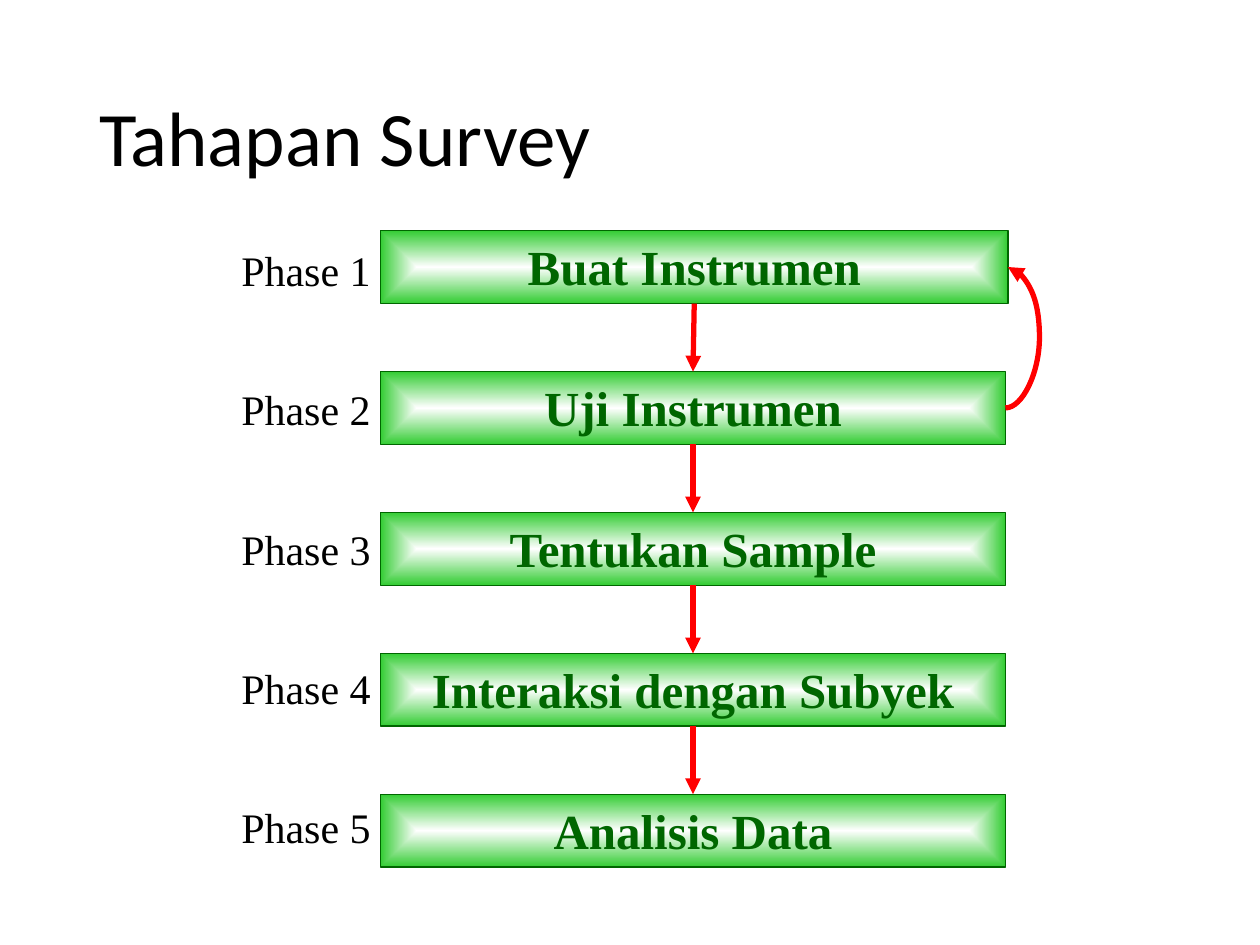
from itertools import pairwise

from lxml import etree
from pptx import Presentation
from pptx.dml.color import RGBColor
from pptx.enum.shapes import MSO_CONNECTOR as Connector, MSO_SHAPE as Shape
from pptx.enum.text import MSO_ANCHOR as Anchor, PP_ALIGN as Align
from pptx.oxml import parse_xml
from pptx.oxml.ns import nsdecls, qn
from pptx.util import Cm, Pt

COLORS = {"text": "000000", "dark": "006600", "green": "33CC33",
          "center": "FFFFFF", "arrow": "FF0000"}
PHASES = ["Buat Instrumen", "Uji Instrumen", "Tentukan Sample",
          "Interaksi dengan Subyek", "Analisis Data"]
TOP, BOTTOM, SIDE = 0, 2, 3


class FlowSlide:
    serif = "Times New Roman"
    sans = "Calibri"

    def __init__(self, presentation):
        self.slide = presentation.slides.add_slide(presentation.slide_layouts[6])

    def color(self, name):
        return RGBColor.from_string(COLORS[name])

    def set_text(self, shape, text, font, size, color, bold=False,
                 align=Align.CENTER, anchor=Anchor.TOP):
        frame = shape.text_frame
        frame.word_wrap = True
        frame.vertical_anchor = anchor
        paragraph = frame.paragraphs[0]
        paragraph.text = text
        paragraph.alignment = align
        paragraph.font.name = font
        paragraph.font.size = Pt(size)
        paragraph.font.bold = bold
        paragraph.font.color.rgb = self.color(color)
        return paragraph

    def title(self, text, left, top, width, height):
        shape = self.slide.shapes.add_textbox(Cm(left), Cm(top), Cm(width), Cm(height))
        paragraph = self.set_text(shape, text, self.sans, 44, "text",
                                  align=Align.LEFT, anchor=Anchor.MIDDLE)
        paragraph.line_spacing = 0.9

    def label(self, text, left, top, width, height):
        shape = self.slide.shapes.add_textbox(Cm(left), Cm(top), Cm(width), Cm(height))
        self.set_text(shape, text, self.serif, 24, "text")

    def box(self, text, left, top, width, height):
        shape = self.slide.shapes.add_shape(
            Shape.RECTANGLE, Cm(left), Cm(top), Cm(width), Cm(height))
        shape.shadow.inherit = False
        shape.line.color.rgb = self.color("dark")
        shape.line.width = Pt(0.75)
        gradient = parse_xml(
            f'<a:gradFill {nsdecls("a")} rotWithShape="1"><a:gsLst>'
            f'<a:gs pos="0"><a:srgbClr val="{COLORS["center"]}"/></a:gs>'
            f'<a:gs pos="100000"><a:srgbClr val="{COLORS["green"]}"/></a:gs>'
            '</a:gsLst><a:path path="shape"><a:fillToRect l="50000" t="50000" '
            'r="50000" b="50000"/></a:path></a:gradFill>')
        shape._element.spPr.find(qn("a:prstGeom")).addnext(gradient)
        self.set_text(shape, text, self.serif, 28, "dark", bold=True)
        return shape

    def arrow(self, start, start_site, end, end_site,
              kind=Connector.STRAIGHT, bend=None):
        connector = self.slide.shapes.add_connector(kind, 0, 0, 0, 0)
        connector.begin_connect(start, start_site)
        connector.end_connect(end, end_site)
        connector.line.color.rgb = self.color("arrow")
        connector.line.width = Pt(3)
        properties = connector._element.spPr
        line = properties.find(qn("a:ln"))
        etree.SubElement(line, qn("a:tailEnd"), type="triangle")
        etree.SubElement(properties, qn("a:effectLst"))
        if bend is not None:
            guides = properties.find(qn("a:prstGeom")).find(qn("a:avLst"))
            etree.SubElement(guides, qn("a:gd"), name="adj1", fmla=f"val {bend}")


presentation = Presentation()
presentation.slide_width = Cm(25.4)
presentation.slide_height = Cm(19.05)
flow = FlowSlide(presentation)

flow.title("Tahapan Survey", 1.75, 1.01, 21.9, 3.68)
boxes = [flow.box(name, 7.67, 4.65 + 2.84 * index, 12.6 if index else 12.65, 1.47)
         for index, name in enumerate(PHASES)]
for upper, lower in pairwise(boxes):
    flow.arrow(upper, BOTTOM, lower, TOP)
flow.arrow(boxes[1], SIDE, boxes[0], SIDE, Connector.CURVE, 1370000)
for index in range(len(PHASES)):
    flow.label(f"Phase {index + 1}", 4.32, 4.8 + 2.81 * index, 3.7, 1.27)

presentation.save("out.pptx")
